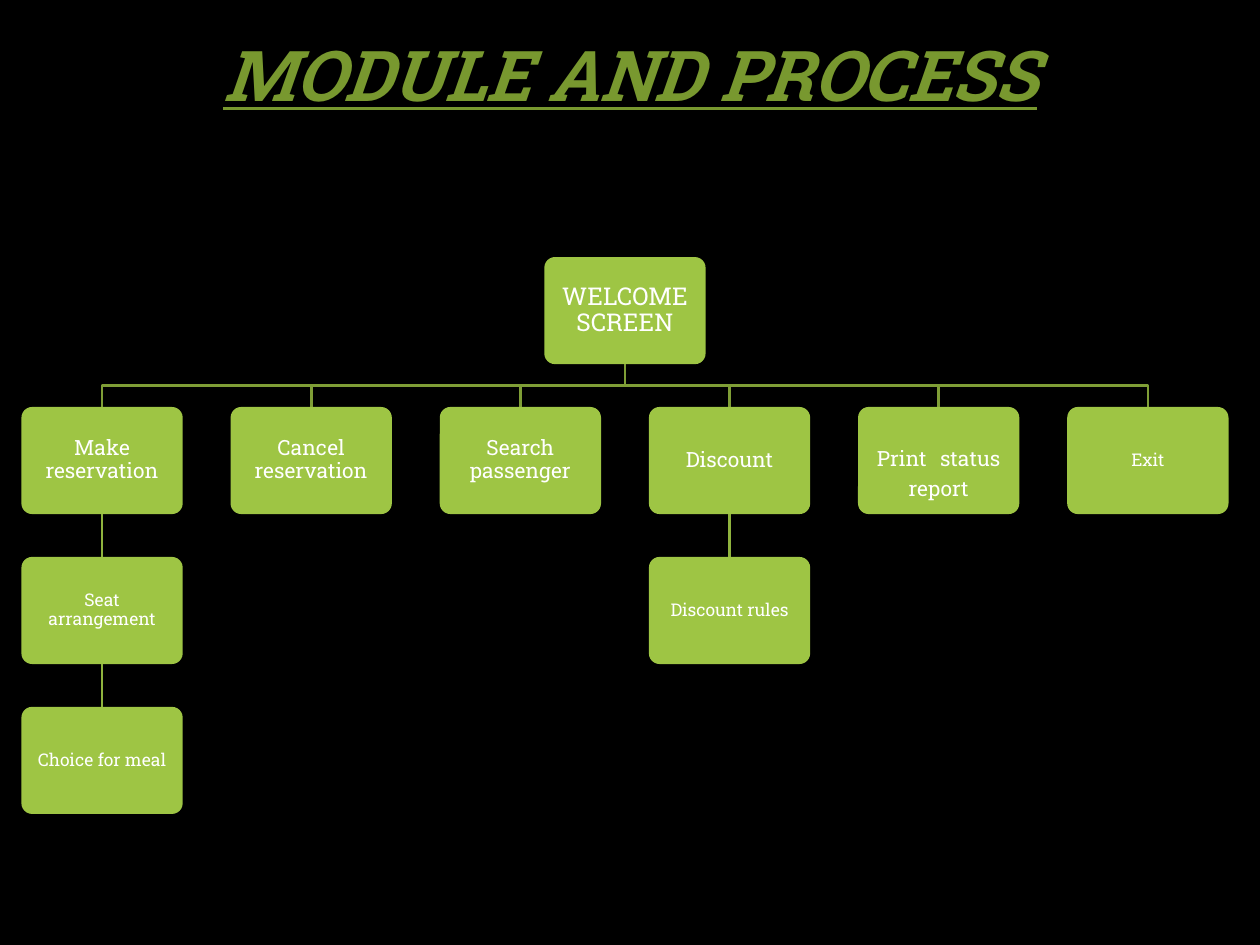
"""Build the module and process chart slide."""
import pptx
import pptx.util
from pptx.dml.color import RGBColor
from pptx.enum.shapes import MSO_CONNECTOR, MSO_SHAPE
from pptx.enum.text import MSO_ANCHOR, PP_ALIGN
from lxml import etree

TITLE = "MODULE AND PROCESS"
ROOT = ("WELCOME SCREEN", 14, 2.5)
BRANCHES = [
    ("Make reservation", 12, ["Seat arrangement", "Choice for meal"]),
    ("Cancel reservation", 12, []),
    ("Search passenger", 12, []),
    ("Discount", 12, ["Discount rules"]),
    ("Print status report", 12, []),
    ("Exit", 10, []),
]
WIDE_GAP = {"Print status report": 31}
LEAF_SIZE = 10

FONT = "Roboto Slab"
BLACK = RGBColor(0x00, 0x00, 0x00)
WHITE = RGBColor(0xFF, 0xFF, 0xFF)
OLIVE = RGBColor(0x78, 0x98, 0x2F)
GREEN = RGBColor(0x9E, 0xC5, 0x44)
BRANCH = RGBColor(0x7F, 0x9E, 0x36)
STEM = RGBColor(0x8F, 0xB3, 0x3E)

LEFT, TOP = 0.17, 2.04
WIDE, HIGH = 1.28, 0.85
COL, ROW = 1.66, 1.19
INCH = pptx.util.Inches


def spot(col, row):
    return LEFT + col * COL, TOP + row * ROW


def style(para, size, color):
    para.alignment = PP_ALIGN.CENTER
    para.line_spacing = 0.9
    para.font.name = FONT
    para.font.size = pptx.util.Pt(size)
    para.font.color.rgb = color


def add_box(slide, text, size, col, row):
    x, y = spot(col, row)
    box = slide.shapes.add_shape(
        MSO_SHAPE.ROUNDED_RECTANGLE, INCH(x), INCH(y), INCH(WIDE), INCH(HIGH))
    box.adjustments[0] = 0.1
    box.shadow.inherit = False
    box.fill.solid()
    box.fill.fore_color.rgb = GREEN
    box.line.fill.background()
    frame = box.text_frame
    frame.word_wrap = True
    frame.vertical_anchor = MSO_ANCHOR.MIDDLE
    pad = pptx.util.Pt(size * 0.3)
    frame.margin_left = frame.margin_right = pad
    frame.margin_top = frame.margin_bottom = pad
    para = frame.paragraphs[0]
    style(para, size, WHITE)
    if text not in WIDE_GAP:
        para.add_run().text = text
        return
    for i, word in enumerate(text.split()):
        if i:
            gap = para.add_run()
            gap.text = " "
            gap.font.size = pptx.util.Pt(WIDE_GAP[text])
        para.add_run().text = word


def add_branch(slide, start, end):
    x1, y1 = spot(start, 0)
    x2, y2 = spot(end, 1)
    x1, x2, y1 = x1 + WIDE / 2, x2 + WIDE / 2, y1 + HIGH
    mid = (y1 + y2) / 2
    pen = slide.shapes.build_freeform(INCH(x1), INCH(y1))
    pen.add_line_segments(
        [(INCH(x), INCH(y)) for x, y in [(x1, mid), (x2, mid), (x2, y2)]],
        close=False)
    line = pen.convert_to_shape()
    line.shadow.inherit = False
    line.fill.background()
    line.line.color.rgb = BRANCH
    line.line.width = pptx.util.Pt(1.5)


def add_stem(slide, col, row):
    x, y = spot(col, row)
    x += WIDE / 2
    line = slide.shapes.add_connector(
        MSO_CONNECTOR.STRAIGHT, INCH(x), INCH(y - ROW + HIGH), INCH(x), INCH(y))
    line.line.color.rgb = STEM
    line.line.width = pptx.util.Pt(1.5)
    etree.SubElement(line._element.spPr, pptx.oxml.ns.qn("a:effectLst"))


def main():
    deck = pptx.Presentation()
    deck.slide_width, deck.slide_height = INCH(10), INCH(7.5)
    slide = deck.slides.add_slide(deck.slide_layouts[5])
    slide.background.fill.solid()
    slide.background.fill.fore_color.rgb = BLACK

    title = slide.shapes.title
    title.left, title.top = INCH(0.5), INCH(0)
    title.width, title.height = INCH(9), INCH(1.25)
    title.text_frame.text = TITLE
    title.text_frame.vertical_anchor = MSO_ANCHOR.MIDDLE
    para = title.text_frame.paragraphs[0]
    style(para, 40, OLIVE)
    para.font.bold = para.font.italic = para.font.underline = True

    text, size, home = ROOT
    for col in range(len(BRANCHES)):
        add_branch(slide, home, col)
    add_box(slide, text, size, home, 0)
    for col, (text, size, leaves) in enumerate(BRANCHES):
        add_box(slide, text, size, col, 1)
        for row, leaf in enumerate(leaves, 2):
            add_stem(slide, col, row)
            add_box(slide, leaf, LEAF_SIZE, col, row)
    deck.save("out.pptx")


if __name__ == "__main__":
    main()
